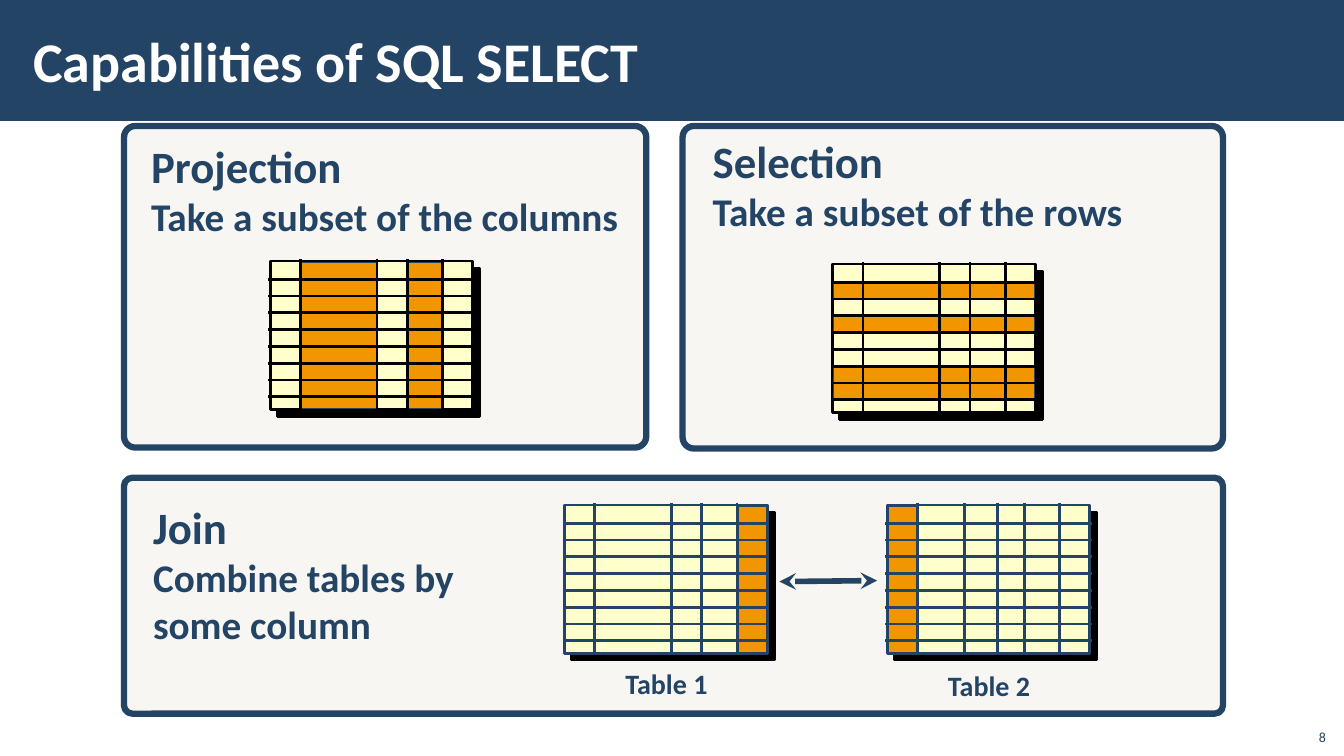
from lxml.etree import SubElement
from pptx import Presentation
from pptx.dml.color import RGBColor
from pptx.enum.shapes import MSO_CONNECTOR as CONNECTOR, MSO_SHAPE as SHAPE
from pptx.enum.text import MSO_ANCHOR as ANCHOR, PP_ALIGN as ALIGN
from pptx.oxml.ns import qn
from pptx.util import Inches, Pt

NAVY, BLACK, WHITE = "234465", "000000", "FFFFFF"
CREAM, ORANGE, SAND = "FFFFCC", "F29600", "D9D5C7"

GRID_WIDTH, GRID_HEIGHT = 2.01, 1.47
OVERHANG = 0.02
COLUMN_EDGES = [0, 0.3, 1.06, 1.36, 1.71, GRID_WIDTH]
SECOND_TABLE_EDGES = [0, 0.3, 0.77, 1.09, 1.36, 1.71, GRID_WIDTH]
ROW_EDGES = [0, *(0.18 + row / 6 for row in range(8)), GRID_HEIGHT]

HEADING = {"size": Pt(32), "bold": True}
BODY = {"size": Pt(28), "bold": True}
CAPTION = {"size": Pt(20), "bold": True}
TITLE = {"size": Pt(40), "bold": True}
PAGE_NUMBER = {"size": Pt(10), "bold": False}


def rgb(color):
    return RGBColor.from_string(color)


def add_box(shapes, box, fill, line=None, width=0.75, kind=SHAPE.RECTANGLE):
    shape = shapes.add_shape(kind, *map(Inches, box))
    shape.shadow.inherit = False
    shape.fill.solid()
    shape.fill.fore_color.rgb = rgb(fill)
    if line:
        shape.line.color.rgb = rgb(line)
        shape.line.width = Pt(width)
    else:
        shape.line.fill.background()
    return shape


def add_panel(shapes, box):
    """Draw a rounded frame with a fill that is 20% opaque."""
    panel = add_box(shapes, box, SAND, NAVY, 4.5, SHAPE.ROUNDED_RECTANGLE)
    panel.adjustments[0] = 0.035
    color = panel.element.spPr.find(qn("a:solidFill")).find(qn("a:srgbClr"))
    SubElement(color, qn("a:alpha"), val="20000")


def add_hard_shadow(shape):
    effects = shape.element.spPr.find(qn("a:effectLst"))
    shadow = SubElement(effects, qn("a:outerShdw"), dist=str(Pt(7.1)),
                        dir="2700000", algn="ctr", rotWithShape="0")
    SubElement(shadow, qn("a:srgbClr"), val=BLACK)


def add_line(shapes, start, end, color, width=2):
    line = shapes.add_connector(CONNECTOR.STRAIGHT, *map(Inches, (*start, *end)))
    line.line.color.rgb = rgb(color)
    line.line.width = Pt(width)
    SubElement(line.element.spPr, qn("a:effectLst"))
    return line


def add_double_arrow(shapes, start, end):
    arrow = add_line(shapes, start, end, NAVY, 4)
    outline = arrow.line._get_or_add_ln()
    for tag in ("a:headEnd", "a:tailEnd"):
        SubElement(outline, qn(tag), type="stealth")


def add_text(shapes, box, lines, color=NAVY, align=ALIGN.LEFT, anchor=ANCHOR.TOP,
             wrap=True, inset=0.1):
    """Add a text box with one paragraph for each (text, font values) pair."""
    frame = shapes.add_textbox(*map(Inches, box)).text_frame
    frame.word_wrap = wrap
    frame.vertical_anchor = anchor
    frame.margin_left = frame.margin_right = Inches(inset)
    for index, (text, values) in enumerate(lines):
        paragraph = frame.add_paragraph() if index else frame.paragraphs[0]
        paragraph.text = text
        paragraph.alignment = align
        paragraph.font.color.rgb = rgb(color)
        for name, value in {"name": "Calibri", **values}.items():
            setattr(paragraph.font, name, value)


def add_grid(shapes, left, top, line, edges=COLUMN_EDGES, columns=(), row_spans=()):
    """Draw a table sketch; columns and (first, last) row spans are highlighted."""
    add_hard_shadow(add_box(
        shapes, (left, top, GRID_WIDTH, GRID_HEIGHT), CREAM, line, 2))
    for column in columns:
        start, end = edges[column:column + 2]
        add_box(shapes, (left + start + 0.01, top + 0.01, end - start - 0.02,
                         GRID_HEIGHT - 0.02), ORANGE, NAVY)
    for first, last in row_spans:
        start, end = ROW_EDGES[first], ROW_EDGES[last + 1]
        add_box(shapes, (left + 0.01, top + start, GRID_WIDTH - 0.02, end - start),
                ORANGE, NAVY)
    for edge in edges[1:-1]:
        add_line(shapes, (left + edge, top - OVERHANG),
                 (left + edge, top + GRID_HEIGHT + OVERHANG), line)
    for edge in ROW_EDGES[1:-1]:
        add_line(shapes, (left - OVERHANG, top + edge),
                 (left + GRID_WIDTH + OVERHANG, top + edge), line)


def add_subset_panels(shapes):
    add_panel(shapes, (6.77, 1.25, 5.36, 3.2))
    add_grid(shapes, 8.26, 2.62, BLACK, row_spans=[(1, 1), (3, 3), (6, 7)])
    add_text(shapes, (6.97, 1.28, 4.31, 1.11),
             [("Selection", HEADING), ("Take a subset of the rows", BODY)], wrap=False)

    add_panel(shapes, (1.23, 1.25, 5.18, 3.19))
    add_grid(shapes, 2.68, 2.59, BLACK, columns=[1, 3])
    add_text(shapes, (1.4, 1.33, 4.89, 1.11),
             [("Projection", HEADING), ("Take a subset of the columns", BODY)],
             wrap=False)


def add_join_panel(shapes):
    add_panel(shapes, (1.23, 4.74, 10.9, 2.34))
    add_grid(shapes, 5.6, 5.01, NAVY, columns=[4])
    add_grid(shapes, 8.8, 5.01, NAVY, SECOND_TABLE_EDGES, columns=[0])
    add_double_arrow(shapes, (7.73, 5.77), (8.7, 5.76))
    for text, left, top in (("Table 1", 5.61, 6.56), ("Table 2", 8.81, 6.58)):
        add_text(shapes, (left, top, 2, 0.44), [(text, CAPTION)], align=ALIGN.CENTER)
    add_text(shapes, (1.42, 4.91, 3.3, 1.58),
             [("Join", HEADING), ("Combine tables by", BODY), ("some column", BODY)])


def main():
    presentation = Presentation()
    presentation.slide_width = Inches(13.33)
    presentation.slide_height = Inches(7.5)
    slide = presentation.slides.add_slide(presentation.slide_layouts[6])
    shapes = slide.shapes

    add_box(shapes, (0, 0, 13.33, 1.2), NAVY)
    add_text(shapes, (0.21, 0.11, 10.63, 0.97), [("Capabilities of SQL SELECT", TITLE)],
             WHITE, anchor=ANCHOR.MIDDLE, inset=0.12)
    add_subset_panels(shapes.add_group_shape().shapes)
    add_join_panel(shapes.add_group_shape().shapes)
    add_text(shapes, (12.85, 7.12, 0.4, 0.32), [("8", PAGE_NUMBER)],
             align=ALIGN.RIGHT, anchor=ANCHOR.BOTTOM)
    presentation.save("out.pptx")


if __name__ == "__main__":
    main()
